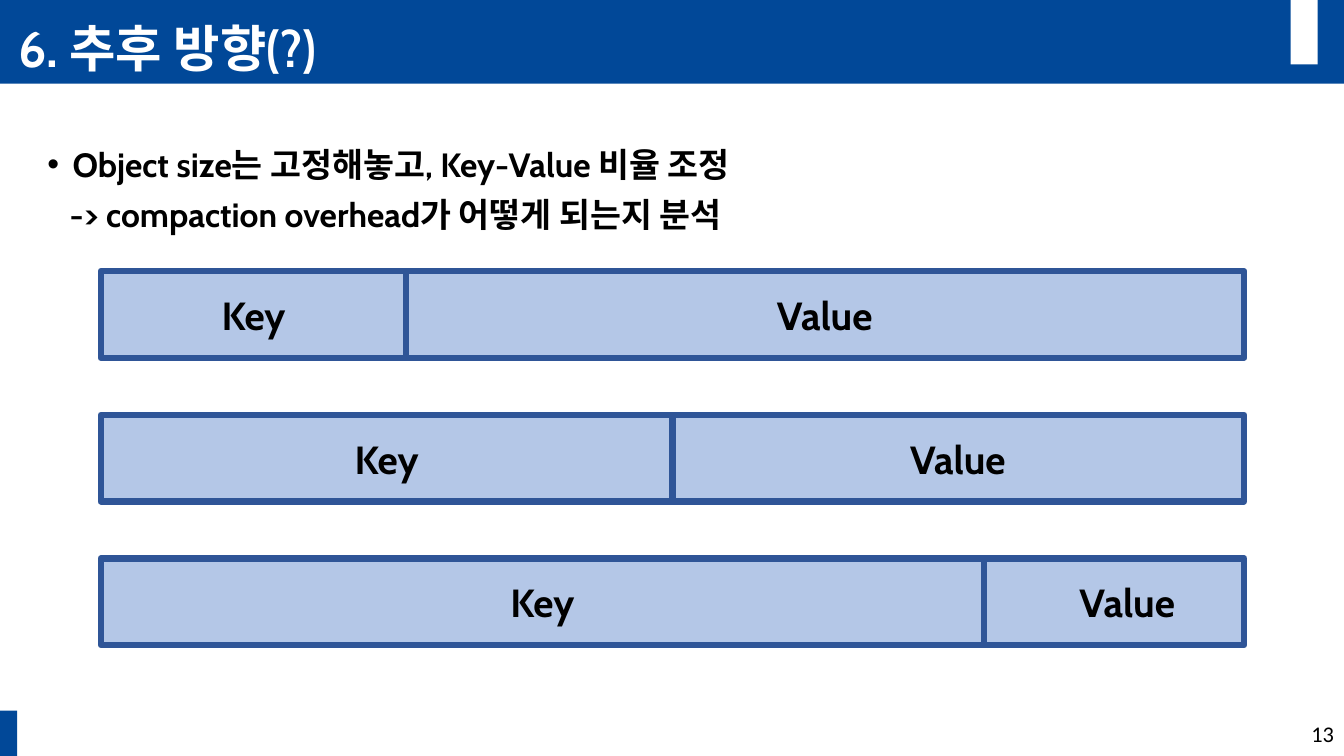
from lxml.etree import SubElement
from pptx import Presentation
from pptx.dml.color import RGBColor
from pptx.enum.shapes import MSO_CONNECTOR, MSO_SHAPE
from pptx.enum.text import MSO_ANCHOR, MSO_AUTO_SIZE, PP_ALIGN
from pptx.oxml.ns import qn
from pptx.util import Inches, Pt

BLUE, WHITE, BLACK = "014898", "FFFFFF", "000000"
BAR_FILL, BAR_LINE = "B4C7E7", "2F5597"

BAR_LEFT, BAR_WIDTH, BAR_HEIGHT = 1, 11.34, 0.86
FIRST_BAR_TOP, BAR_PITCH = 2.69, 1.425
# Divider position and centre of the "Value" label, one pair per bar
BARS = [(4.03, 8.18), (6.67, 9.5), (9.76, 11.18)]


def color(hex_string):
    return RGBColor.from_string(hex_string)


class SlideBuilder:
    """Holds the text style and the slide being built."""

    def __init__(self, slide, font="Cabin"):
        self.slide = slide
        self.font = font

    def format_paragraph(self, paragraph, size, text_color=BLACK, bold=True, font=None):
        for run in paragraph.runs:
            run.font.name = font or self.font
            run.font.size = Pt(size)
            run.font.bold = bold
            run.font.color.rgb = color(text_color)

    def place(self, shape, left, top, width, height):
        shape.left, shape.top = Inches(left), Inches(top)
        shape.width, shape.height = Inches(width), Inches(height)

    def rectangle(self, left, top, width, height, fill, line=None):
        shape = self.slide.shapes.add_shape(
            MSO_SHAPE.RECTANGLE, Inches(left), Inches(top), Inches(width), Inches(height))
        shape.shadow.inherit = False
        shape.fill.solid()
        shape.fill.fore_color.rgb = color(fill)
        if line:
            shape.line.color.rgb = color(line)
            shape.line.width = Pt(4.5)
        else:
            shape.line.fill.background()
        return shape

    def decoration(self, left, top, width, height, fill):
        """Add a plain rectangle behind the title."""
        shape = self.rectangle(left, top, width, height, fill)
        self.slide.shapes.title.element.addprevious(shape.element)

    def title(self, text):
        title = self.slide.shapes.title
        self.place(title, 0.08, 0, 11.5, 0.83)
        frame = title.text_frame
        frame.text = text
        frame.auto_size = MSO_AUTO_SIZE.NONE
        frame.vertical_anchor = MSO_ANCHOR.BOTTOM
        paragraph = frame.paragraphs[0]
        paragraph.alignment = PP_ALIGN.LEFT
        paragraph.line_spacing = 0.9
        self.format_paragraph(paragraph, 36, WHITE)

    def body(self, bullet_text, continuation):
        body = self.slide.placeholders[1]
        self.place(body, 0.37, 1.42, 12.35, 5.18)
        frame = body.text_frame
        frame.text = bullet_text
        frame.add_paragraph().text = continuation
        frame.auto_size = MSO_AUTO_SIZE.NONE
        for paragraph, margin, indent, bullet in zip(
                frame.paragraphs, (0.25, 0.22), (-0.25, 0), ("•", None)):
            paragraph.line_spacing = 0.9
            paragraph.space_before = Pt(10)
            self.format_paragraph(paragraph, 24)
            self.bullet(paragraph, margin, indent, bullet)

    def bullet(self, paragraph, margin, indent, character):
        properties = paragraph._p.get_or_add_pPr()
        properties.set("marL", str(Inches(margin)))
        properties.set("indent", str(Inches(indent)))
        if character:
            SubElement(properties, qn("a:buFont")).set("typeface", "Arial")
            SubElement(properties, qn("a:buChar")).set("char", character)
        else:
            SubElement(properties, qn("a:buNone"))

    def label(self, text, center, top, width):
        box = self.slide.shapes.add_textbox(
            Inches(center - width / 2), Inches(top), Inches(width), Inches(0.57))
        box.text_frame.text = text
        box.text_frame.word_wrap = False
        paragraph = box.text_frame.paragraphs[0]
        paragraph.alignment = PP_ALIGN.CENTER
        self.format_paragraph(paragraph, 28)

    def divider(self, bar, x):
        line = self.slide.shapes.add_connector(
            MSO_CONNECTOR.STRAIGHT, Inches(x), bar.top, Inches(x), bar.top + bar.height)
        line.line.color.rgb = color(BAR_LINE)
        line.line.width = Pt(4.5)
        SubElement(line._element.spPr, qn("a:effectLst"))
        if abs(x - (BAR_LEFT + BAR_WIDTH / 2)) < 0.01:
            line.begin_connect(bar, 0)
            line.end_connect(bar, 2)

    def key_value_bar(self, top, divider_x, value_center):
        bar = self.rectangle(BAR_LEFT, top, BAR_WIDTH, BAR_HEIGHT, BAR_FILL, BAR_LINE)
        self.divider(bar, divider_x)
        self.label("Key", (BAR_LEFT + divider_x) / 2, top + 0.15, 0.93)
        self.label("Value", value_center, top + 0.15, 1.3)

    def page_number(self, number):
        box = self.slide.shapes.add_textbox(
            Inches(10.33), Inches(7.08), Inches(3), Inches(0.4))
        frame = box.text_frame
        frame.text = number
        frame.word_wrap = True
        frame.vertical_anchor = MSO_ANCHOR.MIDDLE
        frame.paragraphs[0].alignment = PP_ALIGN.RIGHT
        self.format_paragraph(frame.paragraphs[0], 16, bold=False, font="Calibri")


def main():
    presentation = Presentation()
    presentation.slide_width = Inches(13.33)
    presentation.slide_height = Inches(7.5)
    slide = presentation.slides.add_slide(presentation.slide_layouts[1])
    builder = SlideBuilder(slide)

    builder.decoration(0, 0, 13.33, 0.83, BLUE)
    builder.decoration(12.8, 0, 0.27, 0.64, WHITE)
    builder.decoration(-0.01, 7.05, 0.18, 0.46, BLUE)
    builder.title("6. 추후 방향(?)")
    builder.body("Object size는 고정해놓고, Key-Value 비율 조정",
                 "-> compaction overhead가 어떻게 되는지 분석")
    for index, (divider_x, value_center) in enumerate(BARS):
        builder.key_value_bar(FIRST_BAR_TOP + index * BAR_PITCH, divider_x, value_center)
    builder.page_number("13")

    presentation.save("out.pptx")


if __name__ == "__main__":
    main()
